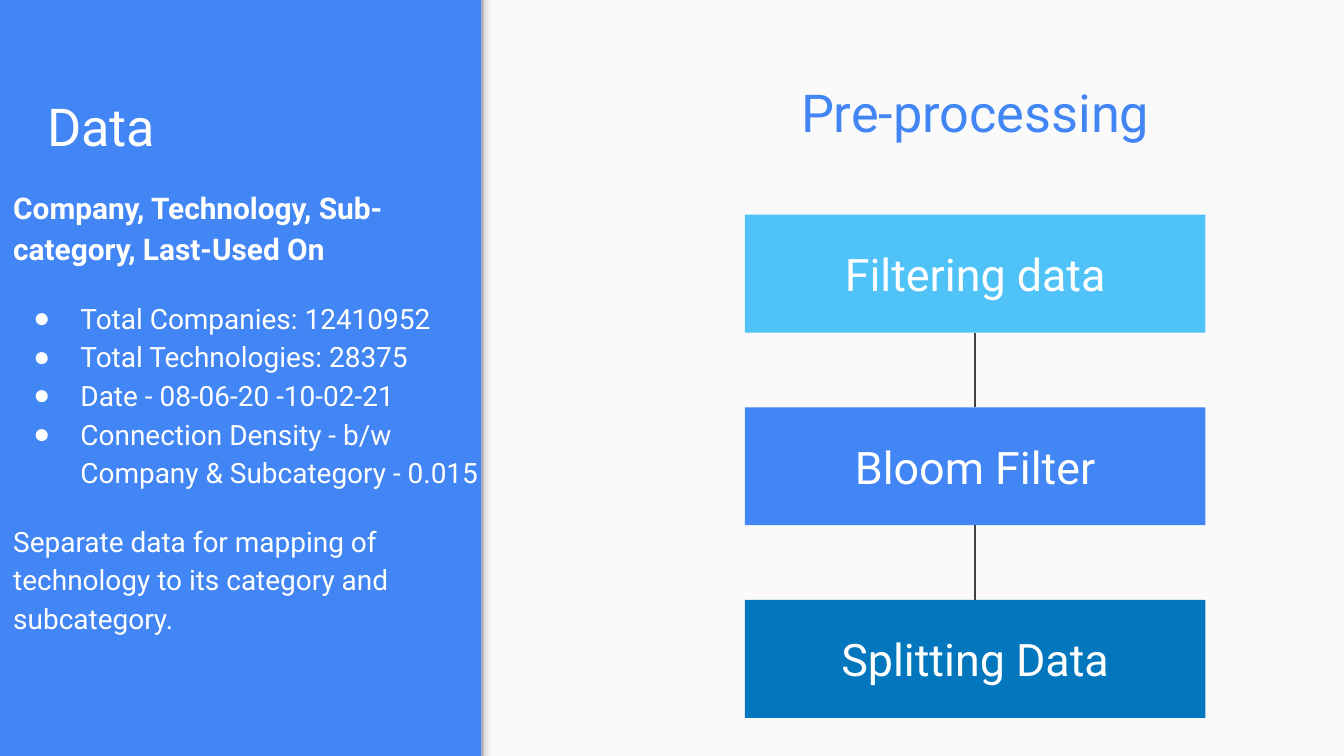
from dataclasses import dataclass
from itertools import pairwise

from lxml.etree import SubElement
from pptx import Presentation
from pptx.dml.color import RGBColor as Rgb
from pptx.enum.shapes import MSO_CONNECTOR as Connector, MSO_SHAPE as Preset
from pptx.enum.text import MSO_ANCHOR as Anchor, MSO_AUTO_SIZE as AutoSize, PP_ALIGN as Align
from pptx.oxml.ns import qn
from pptx.util import Cm, Pt


@dataclass(frozen=True)
class Theme:
    font: str = "Roboto"
    blue: str = "4285F4"
    sky: str = "4FC3F7"
    navy: str = "0277BD"
    white: str = "FFFFFF"
    paper: str = "FAFAFA"
    line: str = "424242"
    edge: tuple = ((0, "999999"), (20, "DEDEDE"), (64, "F9F9F9"), (100, "F9F9F9"))
    title: int = 28
    step: int = 24
    lead: int = 16
    body: int = 15


@dataclass(frozen=True)
class Box:
    """An area of the page, in centimetres."""
    left: float
    top: float
    width: float
    height: float

    def lengths(self):
        return [Cm(n) for n in (self.left, self.top, self.width, self.height)]

    def inner(self, left, top, width, height):
        return Box(self.left + left, self.top + top, width, height)


THEME = Theme()
FIELDS = "Company, Technology, Sub-category, Last-Used On"
FACTS = (
    "Total Companies: 12410952",
    "Total Technologies: 28375",
    "Date - 08-06-20 -10-02-21",
    "Connection Density - b/w Company & Subcategory - 0.015",
)
NOTE = "Separate data for mapping of technology to its category and subcategory."
STEPS = (("Filtering data", THEME.sky), ("Bloom Filter", THEME.blue), ("Splitting Data", THEME.navy))


def set_all(target, values):
    for name, value in values.items():
        setattr(target, name, value)


def place(shape, box):
    set_all(shape, dict(zip(("left", "top", "width", "height"), box.lengths())))


def set_frame(shape, anchor):
    frame = shape.text_frame
    margins = {f"margin_{side}": Cm(0.25) for side in ("left", "top", "right", "bottom")}
    set_all(frame, margins | {"word_wrap": True, "auto_size": AutoSize.NONE, "vertical_anchor": anchor})
    return frame


def write(para, text, size, color=THEME.white, bold=False, **layout):
    set_all(para, layout)
    span = para.add_run()
    span.text = text
    set_all(span.font, {"name": THEME.font, "size": Pt(size), "bold": bold})
    span.font.color.rgb = Rgb.from_string(color)


def add_rect(page, box, color):
    rect = page.shapes.add_shape(Preset.RECTANGLE, *box.lengths())
    rect.shadow.inherit = False
    rect.fill.solid()
    rect.fill.fore_color.rgb = Rgb.from_string(color)
    rect.line.fill.background()
    return rect


def set_bullet(para, bullet):
    props = para._p.get_or_add_pPr()
    indent, hanging = (Cm(1.27), Cm(-0.89)) if bullet else (0, 0)
    props.set("marL", str(indent))
    props.set("indent", str(hanging))
    if bullet:
        color = SubElement(props, qn("a:buClr"))
        SubElement(color, qn("a:srgbClr"), val=THEME.white)
        SubElement(props, qn("a:buChar"), char="●")
    else:
        SubElement(props, qn("a:buNone"))


def draw_backdrop(page, box):
    """Light panel with a shaded left edge, behind the text."""
    page.background.fill.solid()
    page.background.fill.fore_color.rgb = Rgb.from_string(THEME.blue)
    panel = add_rect(page, box, THEME.paper)
    edge = add_rect(page, box.inner(0, 0, 0.3, box.height), THEME.paper)

    # Four-stop gradient from left to right
    edge.fill.gradient()
    edge.fill.gradient_angle = 0
    stops = edge._element.spPr.find(f".//{qn('a:gsLst')}")
    stops.clear()
    for position, color in THEME.edge:
        stop = SubElement(stops, qn("a:gs"), pos=str(position * 1000))
        SubElement(stop, qn("a:srgbClr"), val=color)

    # Send both to the back
    for shape in (edge, panel):
        page.shapes._spTree.insert(2, shape._element)


def draw_data(page, box):
    """Title and facts in the blue column."""
    title, body = page.shapes.title, page.placeholders[1]
    place(title, box.inner(0.64, 0.58, 7.8, 2.64))
    write(set_frame(title, Anchor.BOTTOM).paragraphs[0], "Data", THEME.title, alignment=Align.LEFT)

    place(body, box.inner(0, 3.23, box.width, 8.79))
    frame = set_frame(body, Anchor.TOP)
    # Text, bullet, space before, size, bold
    rows = [(FIELDS, False, 0, THEME.lead, True)]
    rows += [(fact, True, 0 if i else 16, THEME.body, False) for i, fact in enumerate(FACTS)]
    rows += [(NOTE, False, 16, THEME.body, False)]
    for i, (text, bullet, before, size, bold) in enumerate(rows):
        para = frame.add_paragraph() if i else frame.paragraphs[0]
        set_bullet(para, bullet)
        write(para, text, size, bold=bold, alignment=Align.LEFT,
              line_spacing=1.15, space_before=Pt(before), space_after=Pt(0))


def draw_steps(page, box):
    """Heading and a chain of joined boxes."""
    heading = page.shapes.add_textbox(*box.inner(0, 0, box.width, 2.64).lengths())
    write(set_frame(heading, Anchor.BOTTOM).paragraphs[0], "Pre-processing",
          THEME.title, THEME.blue, alignment=Align.CENTER)

    first, height = 3.74, 2.23
    pitch = (box.height - first - height) / (len(STEPS) - 1)
    rects = []
    for i, (text, color) in enumerate(STEPS):
        rect = add_rect(page, box.inner(0, first + i * pitch, box.width, height), color)
        write(set_frame(rect, Anchor.MIDDLE).paragraphs[0], text, THEME.step, alignment=Align.CENTER)
        rects.append(rect)

    # Lines from each box to the next
    for upper, lower in pairwise(rects):
        link = page.shapes.add_connector(Connector.STRAIGHT, 0, 0, 0, 0)
        link.begin_connect(upper, 2)
        link.end_connect(lower, 0)
        link.line.color.rgb = Rgb.from_string(THEME.line)
        link.line.width = Pt(0.75)
        SubElement(link._element.spPr, qn("a:effectLst"))


def main():
    deck = Presentation()
    set_all(deck, {"slide_width": Cm(25.4), "slide_height": Cm(14.29)})
    page = deck.slides.add_slide(deck.slide_layouts[1])
    draw_backdrop(page, Box(9.1, 0, 16.3, 14.29))
    draw_data(page, Box(0, 0, 9.32, 14.29))
    draw_steps(page, Box(14.08, 0.32, 8.7, 13.25))
    deck.save("out.pptx")


if __name__ == "__main__":
    main()
